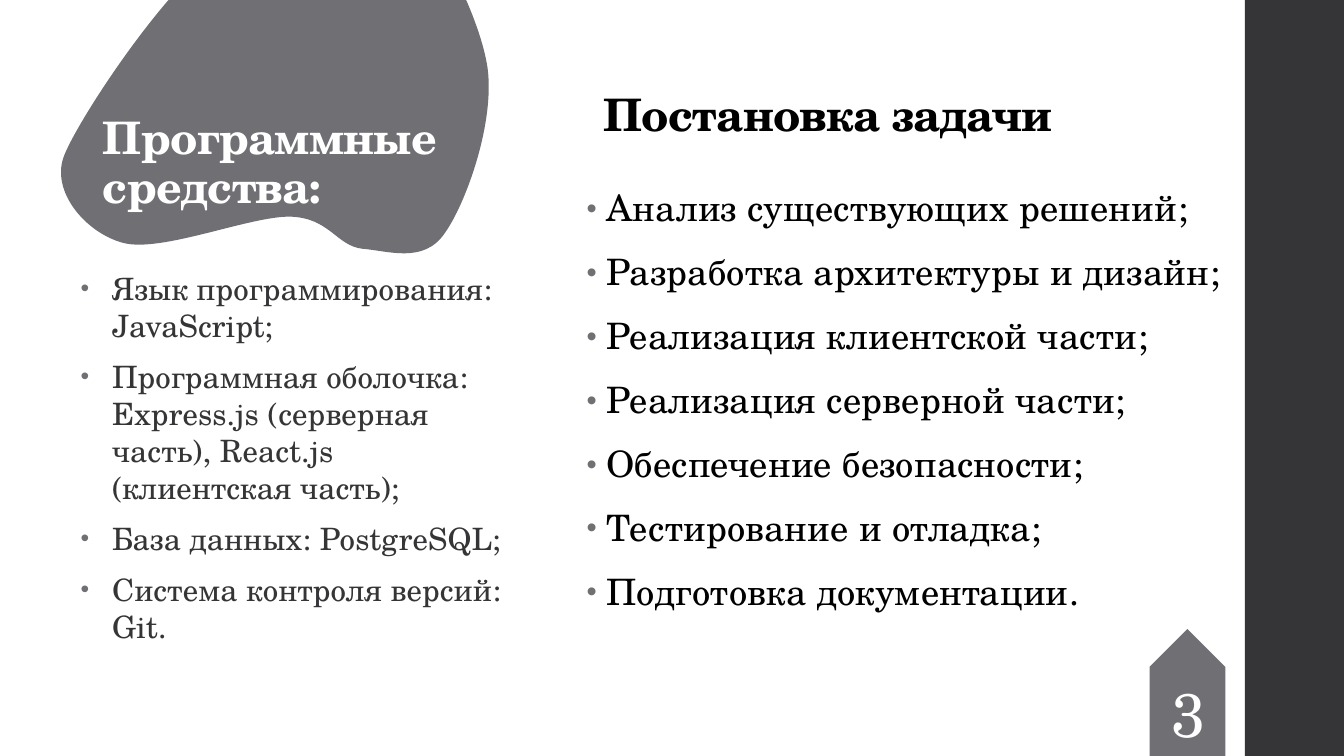
from lxml import etree
from pptx import Presentation
from pptx import util as u
from pptx.dml.color import RGBColor
from pptx.enum import shapes, text
from pptx.oxml.ns import qn

# Content
TITLE = "Программные средства:"
HEADING = "Постановка задачи"
PAGE_NUMBER = "3"
TOOLS = [
    "Язык программирования: JavaScript;",
    "Программная оболочка: Express.js (серверная часть), React.js (клиентская часть);",
    "База данных: PostgreSQL;",
    "Система контроля версий: Git.",
]
TASKS = [
    "Анализ существующих решений;",
    "Разработка архитектуры и дизайн;",
    "Реализация клиентской части;",
    "Реализация серверной части;",
    "Обеспечение безопасности;",
    "Тестирование и отладка;",
    "Подготовка документации.",
]

# Blob outline in cm: a start point, then Bezier triples (control, control, end)
BLOB_START = (12.29, 1.73)
BLOB_CURVES = [
    ((12.47, 3.12), (11.73, 5.16), (11.2, 5.89)),
    ((10.67, 6.65), (9.78, 6.32), (9.14, 6.27)),
    ((8.48, 6.2), (8.31, 5.49), (7.32, 5.46)),
    ((6.3, 5.44), (4.06, 6.38), (3.1, 6.12)),
    ((2.16, 5.87), (1.24, 4.8), (1.63, 3.89)),
    ((2.01, 2.97), (4.04, -1.19), (5.46, -1.19)),
    ((6.86, -2.24), (9.27, -2.84), (10.06, -2.44)),
    ((10.85, -2.03), (12.09, 0.33), (12.29, 1.73)),
]
BLOB_CURVES[5] = ((2.01, 2.97), (4.04, -0.13), (5.46, -1.19))

FONT = "TeX Gyre Schola"
LANGUAGE = "ru-RU"
GRAY = RGBColor(0x6F, 0x6F, 0x74)
DARK = RGBColor(0x35, 0x35, 0x37)
BLACK = RGBColor(0, 0, 0)
WHITE = RGBColor(0xFF, 0xFF, 0xFF)


def place(item, left, top, width, height):
    item.left, item.top = u.Cm(left), u.Cm(top)
    item.width, item.height = u.Cm(width), u.Cm(height)


def paint(shape, color):
    shape.shadow.inherit = False
    shape.fill.solid()
    shape.fill.fore_color.rgb = color
    shape.line.fill.background()


def write(box, lines, size, color, bold=False, spacing=1.0, tracking=0,
          anchor=text.MSO_ANCHOR.TOP):
    frame = box.text_frame
    frame.word_wrap = True
    frame.auto_size = text.MSO_AUTO_SIZE.NONE
    frame.vertical_anchor = anchor
    for number, line in enumerate(lines):
        para = frame.add_paragraph() if number else frame.paragraphs[0]
        para.alignment = text.PP_ALIGN.LEFT
        para.space_before = para.space_after = u.Pt(0)
        para.line_spacing = spacing
        span = para.add_run()
        span.text = line
        font = span.font
        font.name, font.size, font.bold = FONT, u.Pt(size), bold
        font.color.rgb = color
        props = span._r.get_or_add_rPr()
        props.set("lang", LANGUAGE)
        props.set("spc", str(tracking))


def add_bullets(box, indent, before):
    for para in box.text_frame.paragraphs:
        para.space_before, para.space_after = u.Pt(before), u.Pt(2)
        props = para._p.get_or_add_pPr()
        props.set("marL", str(u.Cm(indent)))
        props.set("indent", str(-u.Cm(indent)))
        bullet_color = etree.SubElement(props, qn("a:buClr"))
        etree.SubElement(bullet_color, qn("a:srgbClr"), val=str(GRAY))
        etree.SubElement(props, qn("a:buSzPct"), val="80000")
        etree.SubElement(props, qn("a:buFont"), typeface="Arial")
        etree.SubElement(props, qn("a:buChar"), char="•")


def add_blob(page):
    outline = page.shapes.build_freeform(*(u.Cm(value) for value in BLOB_START))
    points = [(u.Cm(x), u.Cm(y)) for curve in BLOB_CURVES for x, y in curve]
    outline.add_line_segments(points, close=True)
    blob = outline.convert_to_shape()
    # Each three straight segments become one Bezier curve
    lines = list(blob._element.iter(qn("a:lnTo")))
    for first in range(0, len(lines), 3):
        curve = etree.Element(qn("a:cubicBezTo"))
        lines[first].addprevious(curve)
        for line in lines[first:first + 3]:
            curve.append(line[0])
            line.getparent().remove(line)
    return blob


def main():
    deck = Presentation()
    deck.slide_width, deck.slide_height = u.Cm(33.87), u.Cm(19.05)
    page = deck.slides.add_slide(deck.slide_layouts[3])
    title, tasks, tools = page.placeholders

    # Side stripe and blob, behind the text
    stripe = page.shapes.add_shape(
        shapes.MSO_SHAPE.RECTANGLE, u.Cm(31.37), 0, u.Cm(2.5), deck.slide_height)
    paint(stripe, DARK)
    blob = add_blob(page)
    paint(blob, GRAY)
    for backdrop in (stripe, blob):
        title._element.addprevious(backdrop._element)

    # Title and heading
    heading = page.shapes.add_textbox(0, 0, 0, 0)
    place(title, 2.34, 1.04, 9.09, 4.45)
    place(heading, 14.96, 1.04, 18.9, 2.64)
    for box, line, color in ((title, TITLE, WHITE), (heading, HEADING, BLACK)):
        write(box, [line], 32, color, bold=True, spacing=0.9, tracking=-50,
              anchor=text.MSO_ANCHOR.BOTTOM)

    # Lists
    place(tasks, 14.53, 4.63, 16.89, 13.21)
    write(tasks, TASKS, 26, BLACK, spacing=0.95, tracking=10)
    add_bullets(tasks, 0.5, 14)
    place(tools, 1.78, 6.67, 11.23, 9.96)
    write(tools, TOOLS, 22, DARK, tracking=10)
    add_bullets(tools, 0.79, 8)

    # Page number on its arrow
    arrow = page.shapes.add_shape(shapes.MSO_SHAPE.PENTAGON, 0, 0, 0, 0)
    place(arrow, 28.16, 16.66, 3.53, 1.91)
    arrow.rotation = 270
    paint(arrow, GRAY)
    number = page.shapes.add_textbox(0, 0, 0, 0)
    place(number, 29.27, 16.92, 1.32, 2.13)
    write(number, [PAGE_NUMBER], 44, WHITE)

    deck.save("out.pptx")


if __name__ == "__main__":
    main()
